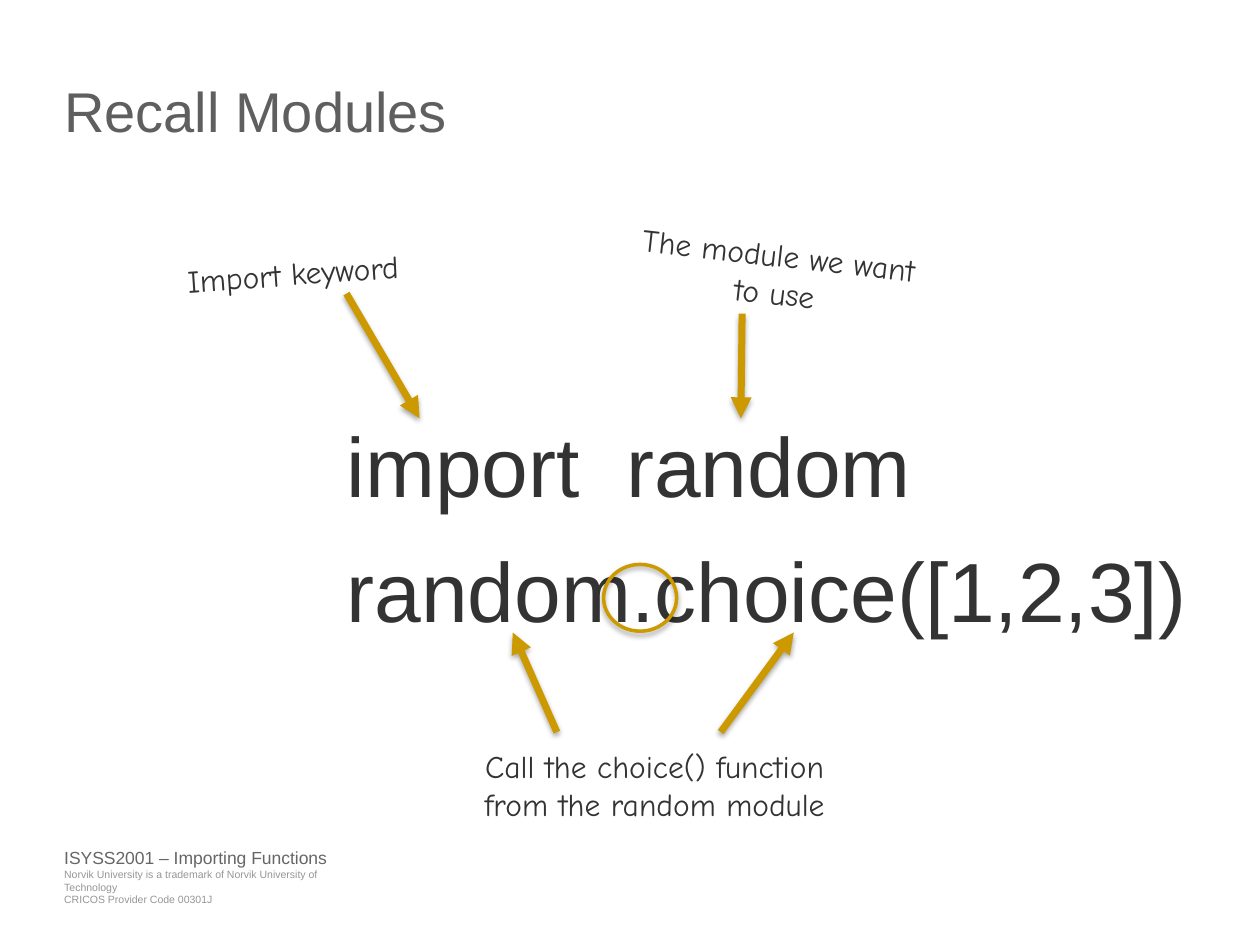
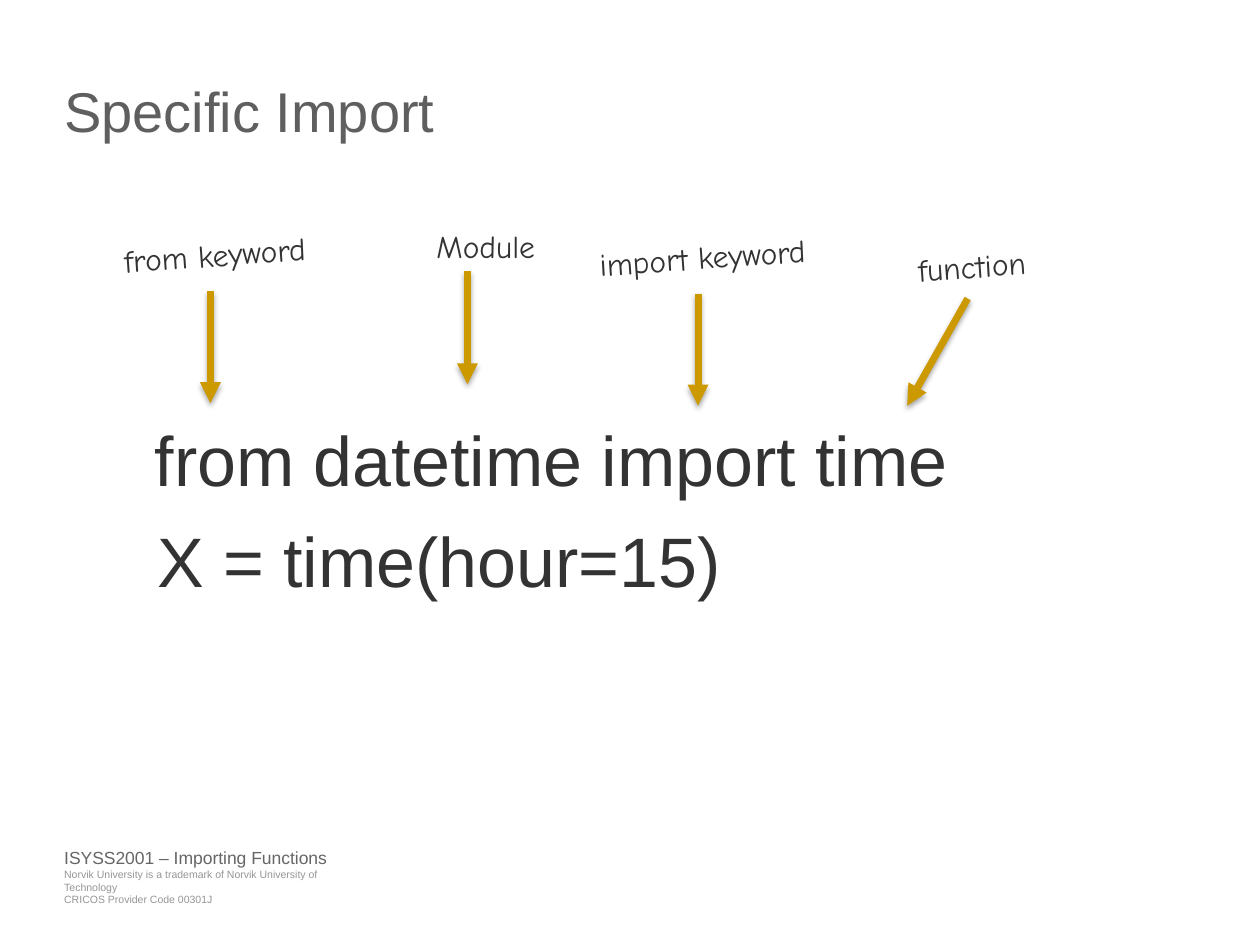
"""Build two slides that explain import statements in Python."""
import dataclasses

import lxml.etree
import pptx
import pptx.dml.color
import pptx.enum.shapes
import pptx.enum.text
import pptx.oxml.ns
import pptx.util

PX = 9144
HUES = {
    "title": "5F5F5F",
    "text": "333333",
    "course": "666666",
    "legal": "969696",
    "gold": "CC9900",
    "shade": "000000",
}
ALIGN = pptx.enum.text.PP_ALIGN
AUTO = pptx.enum.text.MSO_AUTO_SIZE
qn = pptx.oxml.ns.qn


@dataclasses.dataclass(frozen=True)
class Style:
    """Look of the text in a box."""

    size: int
    hue: str
    font: str = "Arial"
    align: ALIGN = ALIGN.LEFT
    inset: tuple[int, int] = (0, 0)
    wrap: bool = True
    grow: bool = True
    before: int = 0
    lines: float = 1.0
    tab: int = 0


@dataclasses.dataclass(frozen=True)
class Box:
    """Text with its place, style and turn."""

    rect: tuple[int, int, int, int]
    lines: tuple[str, ...]
    style: Style
    turn: float = 0


@dataclasses.dataclass(frozen=True)
class Arrow:
    """Gold arrow from one point to another."""

    start: tuple[int, int]
    end: tuple[int, int]


@dataclasses.dataclass(frozen=True)
class Page:
    """Content of one slide."""

    title: str
    code: tuple[Box, ...]
    notes: tuple[Box, ...]
    arrows: tuple[Arrow, ...]
    rings: tuple[tuple[int, int, int, int], ...] = ()


TITLE = Style(32, "title", grow=False)
BLOCK = Style(48, "text", grow=False, before=8, lines=1.1, tab=222)
CODE = Style(40, "text", inset=(10, 5), wrap=False)
NOTE = Style(18, "text", "Comic Neue", ALIGN.CENTER, (5, 5))
LEGAL = Style(6, "legal", wrap=False)
COURSE = Style(10, "course", wrap=False)

FOOTER = (
    Box((51, 689, 244, 16),
        ("Norvik University is a trademark of Norvik University of Technology",
         "CRICOS Provider Code 00301J"), LEGAL),
    Box((51, 672, 210, 17), ("ISYSS2001 – Importing Functions",), COURSE),
)


def note(left: int, top: int, text: str, turn: float = 356,
         width: int = 237, height: int = 40) -> Box:
    """Return a handwritten label."""
    return Box((left, top, width, height), (text,), NOTE, turn)


PAGES = (
    Page(
        "Recall Modules",
        (Box((275, 320, 674, 145),
             ("import\trandom", "random.choice([1,2,3])"), BLOCK),),
        (note(114, 197, "Import keyword"),
         note(498, 182, "The module we want to use", 6.4, height=71),
         note(352, 588, "Call the choice() function from the random module",
              0, 335, 101)),
        (Arrow((275, 233), (333, 332)), Arrow((589, 249), (588, 332)),
         Arrow((442, 581), (407, 502)), Arrow((572, 581), (630, 502))),
        ((479, 448, 58, 53),),
    ),
    Page(
        "Specific Import",
        (Box((113, 326, 657, 77), ("from datetime import time",), CODE),
         Box((115, 406, 473, 77), ("X = time(hour=15)",), CODE)),
        (note(52, 182, "from keyword"), note(267, 175, "Module", 0),
         note(439, 184, "import keyword"), note(653, 191, "function")),
        (Arrow((167, 231), (167, 320)), Arrow((371, 215), (371, 305)),
         Arrow((554, 233), (554, 322)), Arrow((768, 237), (720, 322))),
    ),
)


def scale(*sizes: int) -> list[int]:
    """Turn px into EMU."""
    return [size * PX for size in sizes]


def paint(hue: str) -> pptx.dml.color.RGBColor:
    """Return a named colour."""
    return pptx.dml.color.RGBColor.from_string(HUES[hue])


def add_box(slide, box: Box) -> None:
    """Draw a text box."""
    style = box.style
    shape = slide.shapes.add_textbox(*scale(*box.rect))
    shape.rotation = box.turn
    frame = shape.text_frame
    frame.word_wrap = style.wrap
    frame.auto_size = AUTO.SHAPE_TO_FIT_TEXT if style.grow else AUTO.NONE
    across, down = scale(*style.inset)
    frame.margin_left = frame.margin_right = across
    frame.margin_top = frame.margin_bottom = down
    for index, text in enumerate(box.lines):
        para = frame.add_paragraph() if index else frame.paragraphs[0]
        para.alignment = style.align
        para.line_spacing = style.lines
        para.space_before = pptx.util.Pt(style.before)
        if style.tab:
            props = para._p.get_or_add_pPr()
            tabs = lxml.etree.SubElement(props, qn("a:tabLst"))
            lxml.etree.SubElement(tabs, qn("a:tab"),
                                  pos=str(style.tab * PX), algn="l")
        run = para.add_run()
        run.text = text
        run.font.name = style.font
        run.font.size = pptx.util.Pt(style.size)
        run.font.color.rgb = paint(style.hue)


def add_stroke(shape, width: int) -> None:
    """Give a shape a gold line and a soft shadow."""
    shape.line.color.rgb = paint("gold")
    shape.line.width = pptx.util.Pt(width)
    effects = lxml.etree.SubElement(shape._element.spPr, qn("a:effectLst"))
    shadow = lxml.etree.SubElement(
        effects, qn("a:outerShdw"), blurRad="38100", dist="23000",
        dir="5400000", rotWithShape="0")
    color = lxml.etree.SubElement(shadow, qn("a:srgbClr"), val=HUES["shade"])
    lxml.etree.SubElement(color, qn("a:alpha"), val="35000")


def add_arrow(slide, arrow: Arrow) -> None:
    """Draw an arrow with a triangle at its end."""
    link = slide.shapes.add_connector(
        pptx.enum.shapes.MSO_CONNECTOR.STRAIGHT,
        *scale(*arrow.start, *arrow.end))
    add_stroke(link, 4)
    lxml.etree.SubElement(link.line._get_or_add_ln(), qn("a:tailEnd"),
                          type="triangle")


def add_ring(slide, rect: tuple[int, int, int, int]) -> None:
    """Draw a hollow ellipse."""
    ring = slide.shapes.add_shape(
        pptx.enum.shapes.MSO_SHAPE.OVAL, *scale(*rect))
    ring.fill.background()
    add_stroke(ring, 2)


def add_page(deck, page: Page) -> None:
    """Add one slide with all its parts."""
    slide = deck.slides.add_slide(deck.slide_layouts[6])
    title = Box((51, 61, 898, 109), (page.title,), TITLE)
    for box in (*FOOTER, title, *page.code, *page.notes):
        add_box(slide, box)
    for arrow in page.arrows:
        add_arrow(slide, arrow)
    for rect in page.rings:
        add_ring(slide, rect)


def main() -> None:
    """Build and save the deck."""
    deck = pptx.Presentation()
    deck.slide_width, deck.slide_height = scale(1000, 750)
    for page in PAGES:
        add_page(deck, page)
    deck.save("out.pptx")


if __name__ == "__main__":
    main()
